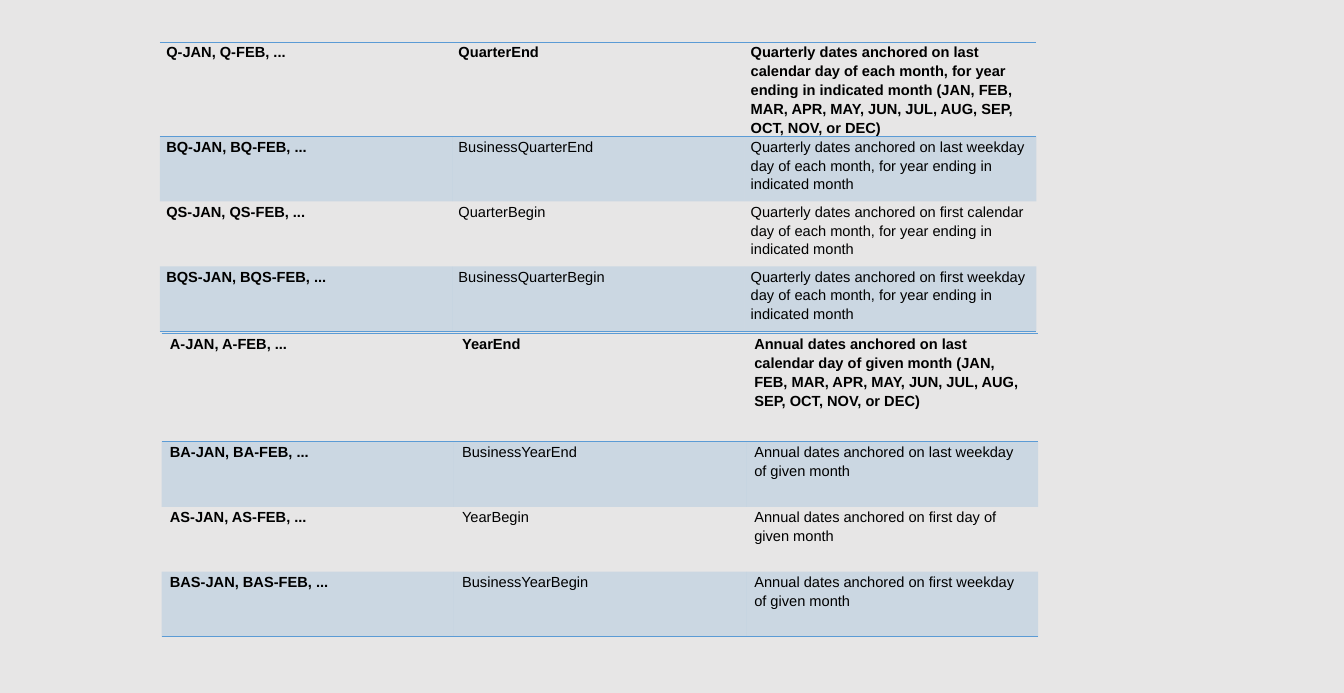
from lxml import etree
from pptx import Presentation
from pptx.dml.color import RGBColor
from pptx.enum.text import MSO_ANCHOR
from pptx.oxml.ns import qn
from pptx.util import Pt

TOP = MSO_ANCHOR.TOP
COLORS = {"background": "E7E6E6", "accent": "5B9BD5", "text": "000000"}
BAND_OPACITY = 20
COLUMN_WIDTH = 239.52
ROW_HEIGHT = 53.28
BLANK_LAYOUT = 6

YEARLY = {
    "left": 132.48, "top": 273.6, "first_row_height": 88.56, "inset": 6.75,
    "rows": [
        ("A-JAN, A-FEB, ...", "YearEnd",
         "Annual dates anchored on last calendar day of given month "
         "(JAN, FEB, MAR, APR, MAY, JUN, JUL, AUG, SEP, OCT, NOV, or DEC)"),
        ("BA-JAN, BA-FEB, ...", "BusinessYearEnd",
         "Annual dates anchored on last weekday of given month"),
        ("AS-JAN, AS-FEB, ...", "YearBegin",
         "Annual dates anchored on first day of given month"),
        ("BAS-JAN, BAS-FEB, ...", "BusinessYearBegin",
         "Annual dates anchored on first weekday of given month"),
    ],
}
QUARTERLY = {
    "left": 131.04, "top": 34.56, "first_row_height": 77.04, "inset": 5.25,
    "rows": [
        ("Q-JAN, Q-FEB, ...", "QuarterEnd",
         "Quarterly dates anchored on last calendar day of each month, "
         "for year ending in indicated month "
         "(JAN, FEB, MAR, APR, MAY, JUN, JUL, AUG, SEP, OCT, NOV, or DEC)"),
        ("BQ-JAN, BQ-FEB, ...", "BusinessQuarterEnd",
         "Quarterly dates anchored on last weekday day of each month, "
         "for year ending in indicated month"),
        ("QS-JAN, QS-FEB, ...", "QuarterBegin",
         "Quarterly dates anchored on first calendar day of each month, "
         "for year ending in indicated month"),
        ("BQS-JAN, BQS-FEB, ...", "BusinessQuarterBegin",
         "Quarterly dates anchored on first weekday day of each month, "
         "for year ending in indicated month"),
    ],
}


def color(name):
    return RGBColor.from_string(COLORS[name])


def apply_format(target, values):
    for name, value in values.items():
        setattr(target, name, value)


def set_borders(cell, ruled_sides):
    properties = cell._tc.get_or_add_tcPr()
    for side in ("L", "R", "T", "B"):
        line = etree.SubElement(properties, qn(f"a:ln{side}"), w=str(Pt(1)))
        if side in ruled_sides:
            fill = etree.SubElement(line, qn("a:solidFill"))
            etree.SubElement(fill, qn("a:srgbClr"), val=COLORS["accent"])
        else:
            etree.SubElement(line, qn("a:noFill"))


def set_fill(cell, banded):
    if not banded:
        cell.fill.background()
        return
    cell.fill.solid()
    cell.fill.fore_color.rgb = color("accent")
    fill_color = cell._tc.tcPr.find(qn("a:solidFill")).find(qn("a:srgbClr"))
    etree.SubElement(fill_color, qn("a:alpha"), val=str(BAND_OPACITY * 1000))


def set_text(cell, text, bold, inset):
    apply_format(cell, {
        "margin_left": Pt(inset), "margin_right": Pt(inset),
        "margin_top": Pt(0), "margin_bottom": Pt(0),
        "vertical_anchor": TOP,
    })
    paragraph = cell.text_frame.paragraphs[0]
    paragraph.line_spacing = 1.15
    run = paragraph.add_run()
    run.text = text
    apply_format(run.font, {"name": "Arial", "size": Pt(12), "bold": bold})
    run.font.color.rgb = color("text")


def add_frequency_table(slide, left, top, first_row_height, inset, rows):
    heights = [first_row_height] + [ROW_HEIGHT] * (len(rows) - 1)
    column_count = len(rows[0])
    table = slide.shapes.add_table(
        len(rows), column_count, Pt(left), Pt(top),
        Pt(COLUMN_WIDTH * column_count), Pt(sum(heights))).table
    apply_format(table, {"first_row": False, "horz_banding": False})
    for column in table.columns:
        column.width = Pt(COLUMN_WIDTH)
    last_row = len(rows) - 1
    for row_index, (texts, height) in enumerate(zip(rows, heights)):
        table.rows[row_index].height = Pt(height)
        ruled_sides = ("T" if row_index <= 1 else "") + (
            "B" if row_index in (0, last_row) else "")
        for column_index, text in enumerate(texts):
            cell = table.cell(row_index, column_index)
            set_text(cell, text, row_index == 0 or column_index == 0, inset)
            set_borders(cell, ruled_sides)
            set_fill(cell, row_index % 2 == 1)


def main():
    presentation = Presentation()
    apply_format(presentation, {"slide_width": Pt(1101.6), "slide_height": Pt(568.08)})
    slide = presentation.slides.add_slide(presentation.slide_layouts[BLANK_LAYOUT])
    slide.background.fill.solid()
    slide.background.fill.fore_color.rgb = color("background")
    for table_content in (YEARLY, QUARTERLY):
        add_frequency_table(slide, **table_content)
    presentation.save("out.pptx")


if __name__ == "__main__":
    main()
